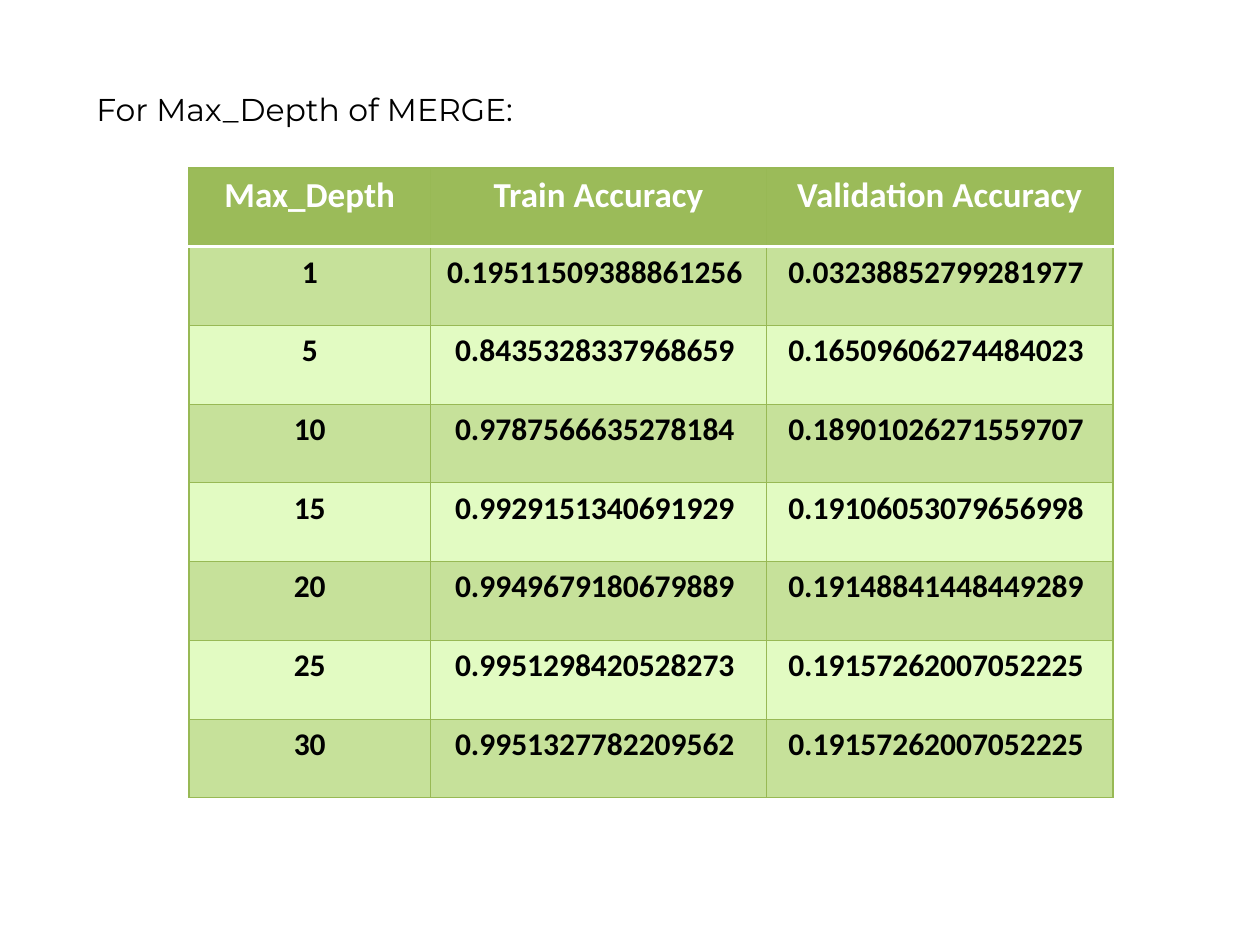
from lxml import etree
from pptx import Presentation
from pptx.dml.color import RGBColor
from pptx.enum.text import MSO_AUTO_SIZE, PP_ALIGN
from pptx.oxml.ns import qn
from pptx.util import Inches, Pt

CENTER = PP_ALIGN.CENTER
GROW = MSO_AUTO_SIZE.SHAPE_TO_FIT_TEXT
GREEN, EDGE, WHITE, BLACK = "9BBB59", "98B955", "FFFFFF", "000000"
BANDS = ("C6E19A", "E2FBC2")
HEADERS = ("Max_Depth", "Train Accuracy", "Validation Accuracy")
ACCURACIES = (
    ("1", "0.19511509388861256 ", "0.03238852799281977 "),
    ("5", "0.8435328337968659 ", "0.16509606274484023 "),
    ("10", "0.9787566635278184 ", "0.18901026271559707 "),
    ("15", "0.9929151340691929 ", "0.19106053079656998 "),
    ("20", "0.9949679180679889 ", "0.19148841448449289 "),
    ("25", "0.9951298420528273 ", "0.19157262007052225 "),
    ("30", "0.9951327782209562 ", "0.19157262007052225 "),
)


def color(value):
    return RGBColor.from_string(value)


class DepthSlide:
    """Slide builder on a grid of 120 columns by 90 rows."""

    def __init__(self, presentation):
        self.slide = presentation.slides.add_slide(presentation.slide_layouts[6])
        self.column = presentation.slide_width / 120
        self.row = presentation.slide_height / 90

    def place(self, left, top, width, height):
        return (round(left * self.column), round(top * self.row),
                round(width * self.column), round(height * self.row))

    def style(self, paragraph, font_name, size, text_color, bold=False):
        for run in paragraph.runs:
            run.font.name = font_name
            run.font.size = Pt(size)
            run.font.bold = bold
            run.font.color.rgb = color(text_color)

    def text(self, content, *box):
        text_frame = self.slide.shapes.add_textbox(*self.place(*box)).text_frame
        text_frame.word_wrap = False
        text_frame.auto_size = GROW
        text_frame.text = content
        self.style(text_frame.paragraphs[0], "Montserrat", 18, BLACK)

    def border(self, cell, side, line_color, points):
        properties = cell._tc.get_or_add_tcPr()
        line = etree.SubElement(properties, qn(f"a:ln{side}"), w=str(Pt(points)))
        fill = etree.SubElement(line, qn("a:solidFill"))
        etree.SubElement(fill, qn("a:srgbClr"), val=line_color)

    def cell(self, cell, content, row_index):
        header = row_index == 0
        for side in "LRTB":
            divider = side == ("B" if header else "T") and row_index < 2
            self.border(cell, side, *((WHITE, 2) if divider else (EDGE, 0.75)))
        cell.fill.solid()
        cell.fill.fore_color.rgb = color(GREEN if header else BANDS[(row_index - 1) % 2])
        cell.text_frame.text = content
        paragraph = cell.text_frame.paragraphs[0]
        paragraph.alignment = CENTER
        self.style(paragraph, "Calibri", 20 if header else 18,
                   WHITE if header else BLACK, True)

    def table(self, rows, widths, left, top, height):
        box = self.place(left, top, sum(widths), height)
        table = self.slide.shapes.add_table(len(rows), len(widths), *box).table
        for column, width in zip(table.columns, widths):
            column.width = round(width * self.column)
        for row_index, values in enumerate(rows):
            for column_index, value in enumerate(values):
                self.cell(table.cell(row_index, column_index), value, row_index)


presentation = Presentation()
presentation.slide_width = Inches(10)
presentation.slide_height = Inches(7.5)
depth_slide = DepthSlide(presentation)
depth_slide.text("For Max_Depth of MERGE:", 8, 8, 45.4, 4.8)
depth_slide.table((HEADERS, *ACCURACIES), (23, 32, 33), 18, 16, 60)
presentation.save("out.pptx")
